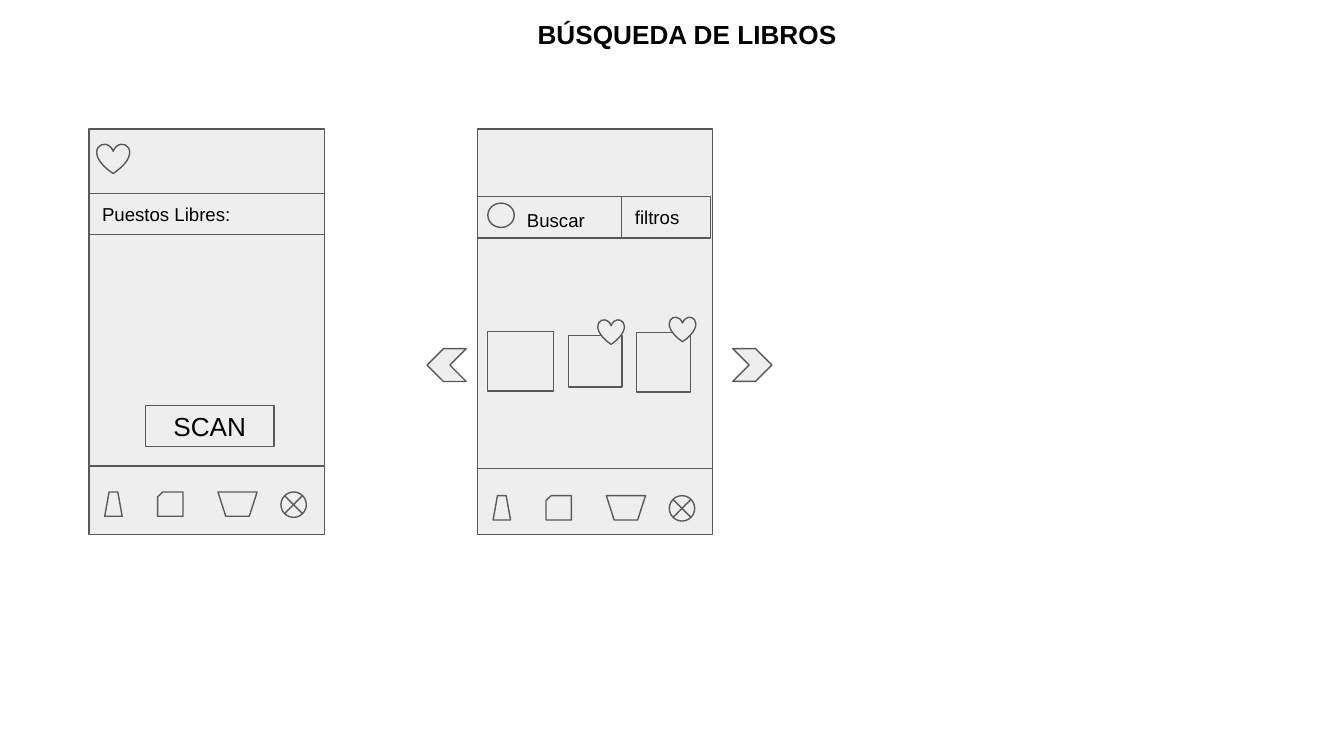
import pptx
import pptx.dml.color
import pptx.enum.shapes
import pptx.enum.text
import pptx.util
from lxml import etree

Cm = pptx.util.Cm
Pt = pptx.util.Pt
SHAPE = pptx.enum.shapes.MSO_SHAPE
ALIGN = pptx.enum.text.PP_ALIGN
ANCHOR = pptx.enum.text.MSO_ANCHOR

COLOURS = {"fill": "EEEEEE", "line": "595959", "text": "000000"}
FONT = "Arial"
INSET = 0.25
PHONE_TOP, PHONE_WIDTH, PHONE_HEIGHT = 2.44, 4.45, 7.67

# Navigation icons: preset, offset from the phone's left side, width, height
NAV_ICONS = [
    (SHAPE.TRAPEZOID, 0.3, 0.33, 0.46),
    (SHAPE.FLOWCHART_CARD, 1.3, 0.48, 0.46),
    (SHAPE.FLOWCHART_MANUAL_OPERATION, 2.44, 0.74, 0.46),
    (SHAPE.FLOWCHART_SUMMING_JUNCTION, 3.63, 0.48, 0.48),
]


def colour(name):
    return pptx.dml.color.RGBColor.from_string(COLOURS[name])


def style_line(line):
    line.color.rgb = colour("line")
    line.width = Pt(0.75)


def write_text(box, text, size, align=ALIGN.LEFT, anchor=ANCHOR.MIDDLE,
               left=INSET, top=0, bold=False):
    frame = box.text_frame
    frame.word_wrap = True
    frame.auto_size = pptx.enum.text.MSO_AUTO_SIZE.NONE
    frame.vertical_anchor = anchor
    frame.margin_left, frame.margin_right = Cm(left), Cm(INSET)
    frame.margin_top, frame.margin_bottom = Cm(top), Cm(0)
    para = frame.paragraphs[0]
    para.text = text
    para.alignment = align
    para.font.name = FONT
    para.font.size = Pt(size)
    para.font.bold = bold
    para.font.color.rgb = colour("text")


def add_title(page, text):
    title = page.shapes.title
    title.left, title.top = Cm(9.91), Cm(0.1)
    title.width, title.height = Cm(7.75), Cm(1.6)
    write_text(title, text, 14, anchor=ANCHOR.TOP, top=INSET, bold=True)


def add_shape(page, preset, left, top, width, height):
    shape = page.shapes.add_shape(preset, Cm(left), Cm(top), Cm(width), Cm(height))
    shape.shadow.inherit = False
    shape.fill.solid()
    shape.fill.fore_color.rgb = colour("fill")
    style_line(shape.line)
    return shape


def add_divider(page, left, top):
    line = page.shapes.add_connector(
        pptx.enum.shapes.MSO_CONNECTOR.STRAIGHT,
        Cm(left), Cm(top), Cm(left + PHONE_WIDTH), Cm(top))
    style_line(line.line)
    etree.SubElement(line._element.spPr, pptx.oxml.ns.qn("a:effectLst"))


def add_phone(page, left, divider_top, icon_top):
    add_shape(page, SHAPE.RECTANGLE, left, PHONE_TOP, PHONE_WIDTH, PHONE_HEIGHT)
    add_divider(page, left, divider_top)
    for preset, offset, width, height in NAV_ICONS:
        add_shape(page, preset, left + offset, icon_top, width, height)


def add_search_screen(page, left):
    add_phone(page, left, 8.86, 9.37)

    # Search bar
    search = add_shape(page, SHAPE.RECTANGLE, left, 3.71, 2.73, 0.79)
    write_text(search, "Buscar", 10, left=0.94, top=0.12)
    filters = add_shape(page, SHAPE.RECTANGLE, left + 2.73, 3.71, 1.68, 0.79)
    write_text(filters, "filtros", 10)
    add_shape(page, SHAPE.FLOWCHART_CONNECTOR, left + 0.2, 3.84, 0.5, 0.46)

    # Books and favourite marks
    for offset, top, width, height in [
            (0.2, 6.27, 1.24, 1.12), (1.72, 6.34, 1.02, 0.98), (3.01, 6.29, 1.02, 1.12)]:
        add_shape(page, SHAPE.RECTANGLE, left + offset, top, width, height)
    for offset, top in [(2.28, 6.04), (3.63, 5.99)]:
        add_shape(page, SHAPE.HEART, left + offset, top, 0.5, 0.47)

    # Previous and next arrows
    for offset, rotation in [(-0.95, 180), (4.83, 0)]:
        arrow = add_shape(page, SHAPE.CHEVRON, left + offset, 6.59, 0.74, 0.62)
        arrow.rotation = rotation


def add_scan_screen(page, left):
    add_phone(page, left, 8.81, 9.3)
    add_shape(page, SHAPE.HEART, left + 0.15, 2.72, 0.62, 0.56)
    places = add_shape(page, SHAPE.RECTANGLE, left, 3.66, PHONE_WIDTH, 0.77)
    write_text(places, "Puestos Libres:", 10)
    scan = add_shape(page, SHAPE.RECTANGLE, left + 1.07, 7.66, 2.43, 0.78)
    write_text(scan, "SCAN", 14, align=ALIGN.CENTER)


def main():
    deck = pptx.Presentation()
    deck.slide_width, deck.slide_height = Cm(25.4), Cm(14.29)
    page = deck.slides.add_slide(deck.slide_layouts[5])
    add_title(page, "BÚSQUEDA DE LIBROS")
    add_search_screen(page, 9.02)
    add_scan_screen(page, 1.68)
    deck.save("out.pptx")


if __name__ == "__main__":
    main()
